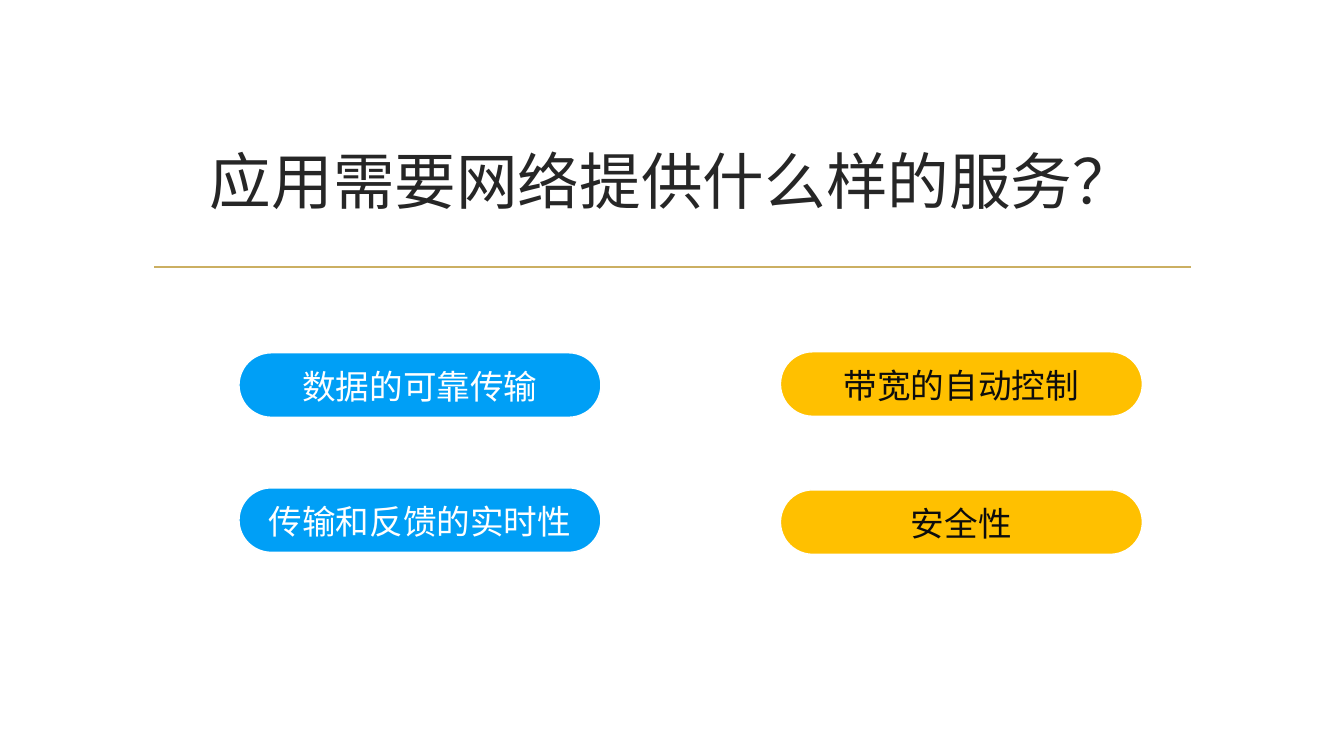
import lxml.etree
import pptx
import pptx.dml.color
import pptx.enum.shapes
import pptx.enum.text
import pptx.oxml.ns
import pptx.util

PX = 9144
PILL_H = 64
COLORS = {
    "title": "262626", "rule": "CBAF62", "white": "FFFFFF",
    "blue": "009FF6", "amber": "FFC000", "dark": "0D0D0D",
}
CJK = "Noto Sans CJK SC"


def px(n):
    """Turn px into EMU."""
    return pptx.util.Emu(n * PX)


def rgb(name):
    """Look up a named colour."""
    return pptx.dml.color.RGBColor.from_string(COLORS[name])


def write(tf, text, size, font, color):
    """Write one centred line in the middle of a text frame."""
    tf.word_wrap = True
    tf.auto_size = pptx.enum.text.MSO_AUTO_SIZE.NONE
    tf.vertical_anchor = pptx.enum.text.MSO_ANCHOR.MIDDLE
    p = tf.paragraphs[0]
    p.alignment = pptx.enum.text.PP_ALIGN.CENTER
    r = p.add_run()
    r.text = text
    r.font.size = pptx.util.Pt(size)
    r.font.color.rgb = rgb(color)
    r.font.name = font
    ea = lxml.etree.SubElement(r.font._element, pptx.oxml.ns.qn("a:ea"))
    ea.set("typeface", CJK)


def add_heading(s, x, y, w, h):
    """Place the title with the rule below it."""
    title = s.shapes.title
    title.left, title.top, title.width, title.height = map(px, (x, y, w, h))
    write(title.text_frame, "应用需要网络提供什么样的服务？", 44, CJK, "title")
    rule_y = px(y + h + 15)
    rule = s.shapes.add_connector(
        pptx.enum.shapes.MSO_CONNECTOR.STRAIGHT,
        px(x + 11), rule_y, px(x + w - 11), rule_y)
    rule.line.color.rgb = rgb("rule")
    rule.line.width = pptx.util.Pt(1.25)
    lxml.etree.SubElement(rule._element.spPr, pptx.oxml.ns.qn("a:effectLst"))


def add_pills(s, x, y, w, h, labels, fill, color):
    """Spread a column of pills evenly from the top to the bottom of its box."""
    step = (h - PILL_H) // (len(labels) - 1)
    for i, label in enumerate(labels):
        sp = s.shapes.add_shape(
            pptx.enum.shapes.MSO_SHAPE.ROUNDED_RECTANGLE,
            px(x), px(y + i * step), px(w), px(PILL_H))
        sp.adjustments[0] = 0.5
        sp.shadow.inherit = False
        sp.fill.solid()
        sp.fill.fore_color.rgb = rgb(fill)
        sp.line.color.rgb = rgb("white")
        sp.line.width = pptx.util.Pt(1)
        tf = sp.text_frame
        tf.margin_left = tf.margin_right = tf.margin_bottom = 0
        tf.margin_top = px(2)
        write(tf, label, 24, "Times New Roman", color)


def main():
    """Build and save the slide."""
    prs = pptx.Presentation()
    prs.slide_width, prs.slide_height = px(1333), px(750)
    s = prs.slides.add_slide(prs.slide_layouts.get_by_name("Title Only"))
    add_heading(s, 142, 107, 1050, 143)
    add_pills(s, 237, 350, 359, 198,
              ["数据的可靠传输", "传输和反馈的实时性"], "blue", "white")
    add_pills(s, 774, 349, 359, 201,
              ["带宽的自动控制", "安全性"], "amber", "dark")
    prs.save("out.pptx")


if __name__ == "__main__":
    main()
